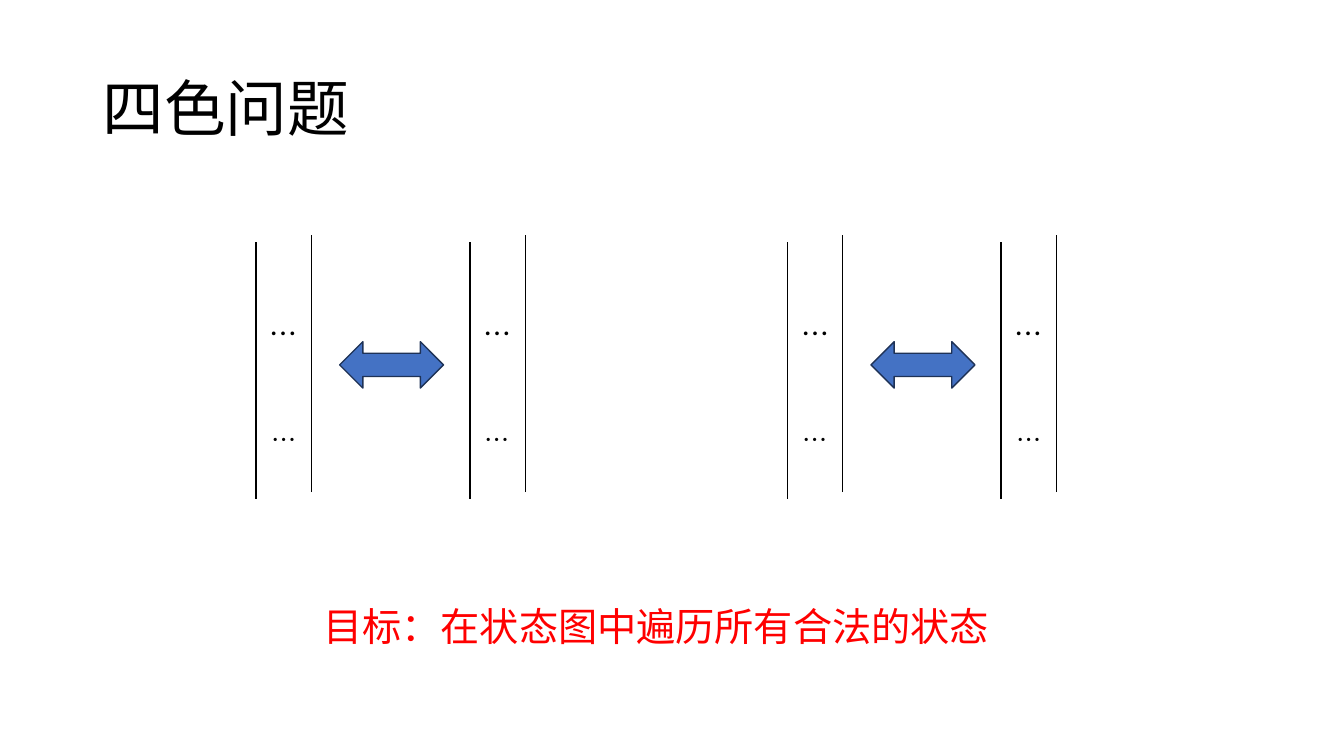
"""Build the four-colour problem slide with two pairs of linked columns."""
import lxml.etree
import pptx
import pptx.dml.color
import pptx.enum.shapes
import pptx.enum.text
import pptx.oxml.ns
import pptx.util
from pptx.util import Cm

TITLE = "四色问题"
GOAL = "目标：在状态图中遍历所有合法的状态"
DOTS = [("…", 7.82, 20), ("…", 10.48, 18)]
FONT = "Noto Sans CJK SC"
HUES = {"ink": "000000", "paper": "FFFFFF", "goal": "FF0000",
        "arrow": "4472C4", "edge": "1E3256"}

LEFT, PAIR, STEP = 6.45, 13.39, 5.39
WIDE, HIGH = 1.4, 1.17
RAILS = [(WIDE, 12.4, 5.92), (0, 12.57, 6.09)]
ARROW = (2.11, 8.61, 2.62, HIGH)

SHAPE = pptx.enum.shapes.MSO_SHAPE
ALIGN = pptx.enum.text.PP_ALIGN
MIDDLE = pptx.enum.text.MSO_ANCHOR.MIDDLE
qn = pptx.oxml.ns.qn


def tint(hue):
    return pptx.dml.color.RGBColor.from_string(HUES[hue])


def apply(thing, form):
    for name, value in form.items():
        setattr(thing, name, value)


def write(shape, text, size, hue, frame, para):
    apply(shape.text_frame, {"word_wrap": True, **frame})
    line = shape.text_frame.paragraphs[0]
    apply(line, para)
    run = line.add_run()
    run.text = text
    apply(run.font, {"name": FONT, "size": pptx.util.Pt(size)})
    run.font.color.rgb = tint(hue)
    east = lxml.etree.SubElement(run.font._element, qn("a:ea"))
    east.set("typeface", FONT)


def stroke(item, hue):
    item.line.color.rgb = tint(hue)
    item.line.width = pptx.util.Pt(1)


def block(slide, kind, box, fill, edge):
    shape = slide.shapes.add_shape(kind, *map(Cm, box))
    shape.shadow.inherit = False
    shape.fill.solid()
    shape.fill.fore_color.rgb = tint(fill)
    stroke(shape, edge)
    return shape


def column(slide, x):
    for text, top, size in DOTS:
        cell = block(slide, SHAPE.RECTANGLE, (x, top, WIDE, HIGH), "paper", "paper")
        write(cell, text, size, "ink", {"vertical_anchor": MIDDLE},
              {"alignment": ALIGN.CENTER})
    for shift, low, top in RAILS:
        ends = (x + shift, low, x + shift, top)
        rail = slide.shapes.add_connector(
            pptx.enum.shapes.MSO_CONNECTOR.STRAIGHT, *map(Cm, ends))
        stroke(rail, "ink")
        lxml.etree.SubElement(rail._element.spPr, qn("a:effectLst"))


def main():
    deck = pptx.Presentation()
    apply(deck, {"slide_width": Cm(33.87), "slide_height": Cm(19.05)})
    slide = deck.slides.add_slide(deck.slide_layouts[5])

    title = slide.shapes.title
    apply(title, {"left": Cm(2.33), "top": Cm(0.97),
                  "width": Cm(29.21), "height": Cm(3.68)})
    write(title, TITLE, 44, "ink", {"vertical_anchor": MIDDLE},
          {"alignment": ALIGN.LEFT, "line_spacing": 0.9})

    for pair in range(2):
        x = LEFT + pair * PAIR
        for side in range(2):
            column(slide, x + side * STEP)
        shift, *rest = ARROW
        block(slide, SHAPE.LEFT_RIGHT_ARROW, (x + shift, *rest), "arrow", "edge")

    goal = slide.shapes.add_textbox(Cm(7.9), Cm(15.06), Cm(17.32), Cm(1.45))
    write(goal, GOAL, 28, "goal",
          {"auto_size": pptx.enum.text.MSO_AUTO_SIZE.SHAPE_TO_FIT_TEXT}, {})
    deck.save("out.pptx")


if __name__ == "__main__":
    main()
